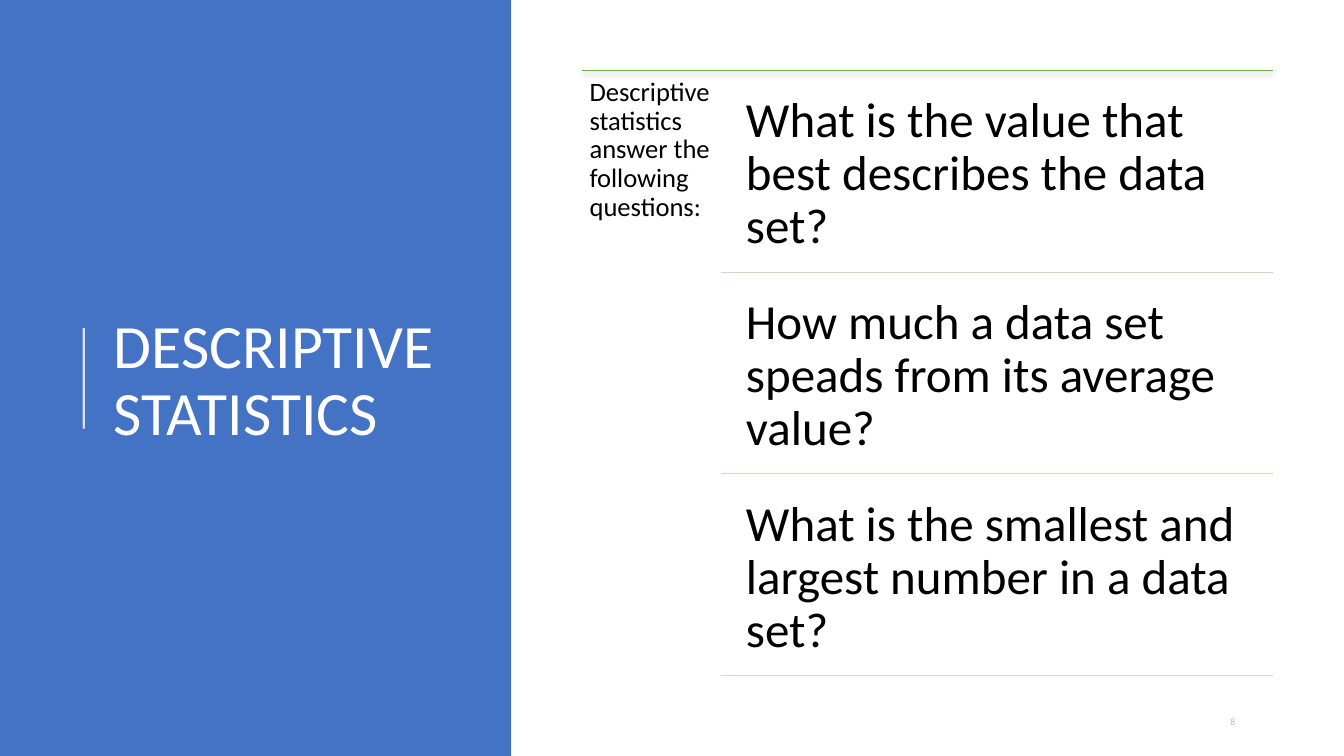
"""Build the Descriptive Statistics slide."""
from lxml import etree
from pptx import Presentation
from pptx.dml.color import RGBColor
from pptx.enum.shapes import MSO_CONNECTOR as Connector, MSO_SHAPE as Shape
from pptx.enum.text import MSO_ANCHOR as Anchor
from pptx.oxml.ns import qn
from pptx.util import Cm, Pt


def add_text(words, left, top, width, height, size, color, insets, anchor=Anchor.TOP):
    box = page.shapes.add_textbox(Cm(left), Cm(top), Cm(width), Cm(height))
    frame = box.text_frame
    frame.text = words
    frame.word_wrap = True
    frame.vertical_anchor = anchor
    frame.margin_left, frame.margin_top, frame.margin_right, frame.margin_bottom = map(Cm, insets)
    para = frame.paragraphs[0]
    para.line_spacing = 0.9
    span = para.runs[0]
    span.font.name = "Calibri"
    span.font.size = Pt(size)
    span.font.color.rgb = RGBColor.from_string(color)


def add_line(start_x, start_y, end_x, end_y, color, width):
    line = page.shapes.add_connector(
        Connector.STRAIGHT, Cm(start_x), Cm(start_y), Cm(end_x), Cm(end_y))
    line.line.color.rgb = RGBColor.from_string(color)
    line.line.width = Pt(width)
    effects = etree.SubElement(line._element.spPr, qn("a:effectLst"))
    return line, effects


deck = Presentation()
deck.slide_width, deck.slide_height = Cm(33.87), Cm(19.05)
page = deck.slides.add_slide(deck.slide_layouts[6])

add_text("8", 31.01, 17.91, 1.19, 0.56, 7, "B9B8BB", (0, 0.13, 0.25, 0.13), Anchor.MIDDLE)

panel = page.shapes.add_shape(Shape.RECTANGLE, 0, 0, Cm(12.88), deck.slide_height)
panel.shadow.inherit = False
panel.fill.solid()
panel.fill.fore_color.rgb = RGBColor.from_string("4472C4")
panel.line.fill.background()

add_text("DESCRIPTIVE STATISTICS", 2.62, 1.98, 9.37, 15.29, 44, "FFFFFF",
         (0.25, 0.13, 0.25, 0.13), Anchor.MIDDLE)
title_bar, _ = add_line(2.11, 10.8, 2.11, 8.26, "FFFFFF", 1.5)
bar_color = title_bar.line._ln.find(".//" + qn("a:srgbClr"))
etree.SubElement(bar_color, qn("a:alpha"), val="80000")

list_top, list_right, row_pitch = 1.78, 32.08, 5.08
_, effects = add_line(14.66, list_top, list_right, list_top, "70AD47", 0.5)
shadow = etree.SubElement(effects, qn("a:outerShdw"), blurRad=str(Pt(4.5)), dist=str(Pt(1.5)),
                          dir="5400000", algn="ctr", rotWithShape="0")
shadow_color = etree.SubElement(shadow, qn("a:srgbClr"), val="000000")
etree.SubElement(shadow_color, qn("a:alpha"), val="63000")

add_text("Descriptive statistics answer the following questions:",
         14.66, list_top, 3.48, 15.47, 19, "000000", (0.2,) * 4)

questions = [
    "What is the value that best describes the data set?",
    "How much a data set speads from its average value?",
    "What is the smallest and largest number in a data set?",
]
for index, question in enumerate(questions):
    row_top = list_top + index * row_pitch
    row_bottom = row_top + row_pitch
    add_text(question, 18.42, row_top + 0.25, 13.67, 4.83, 35, "000000", (0.38,) * 4)
    add_line(18.16, row_bottom, list_right, row_bottom, "C9DBC1", 0.5)

deck.save("out.pptx")
